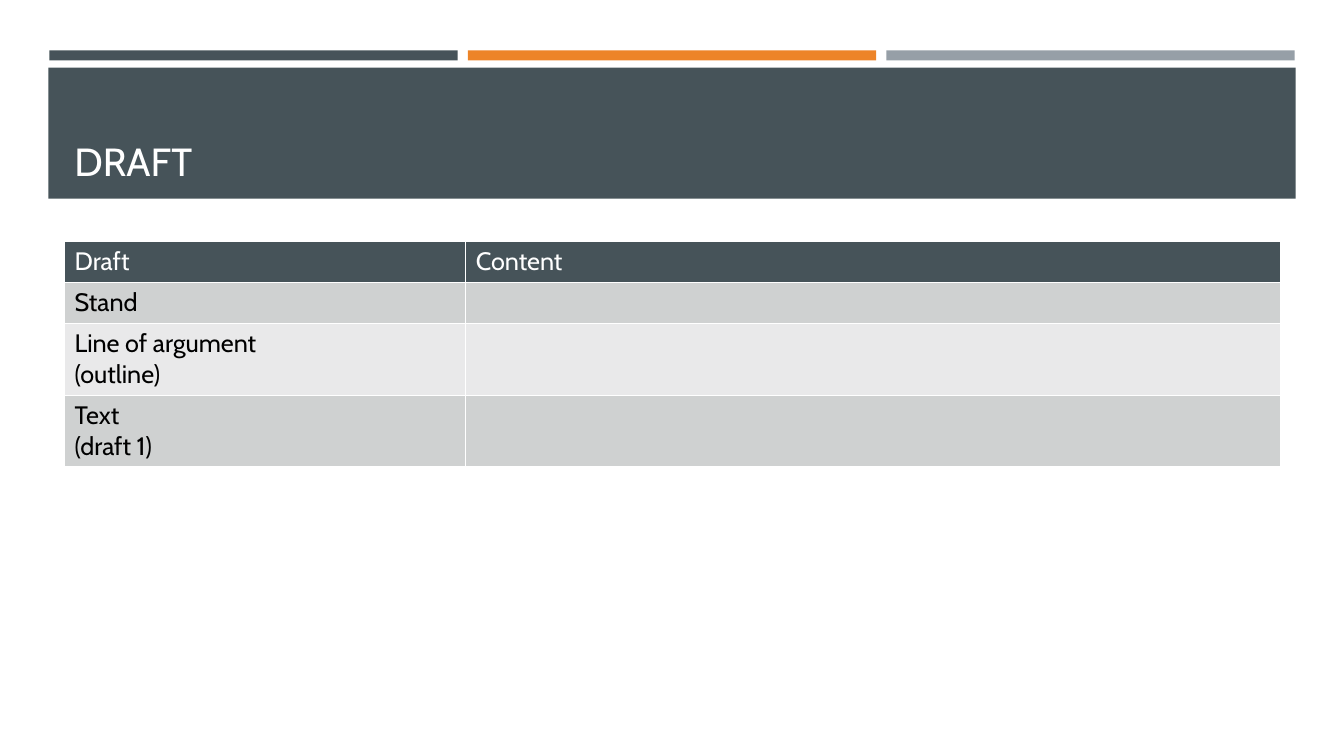
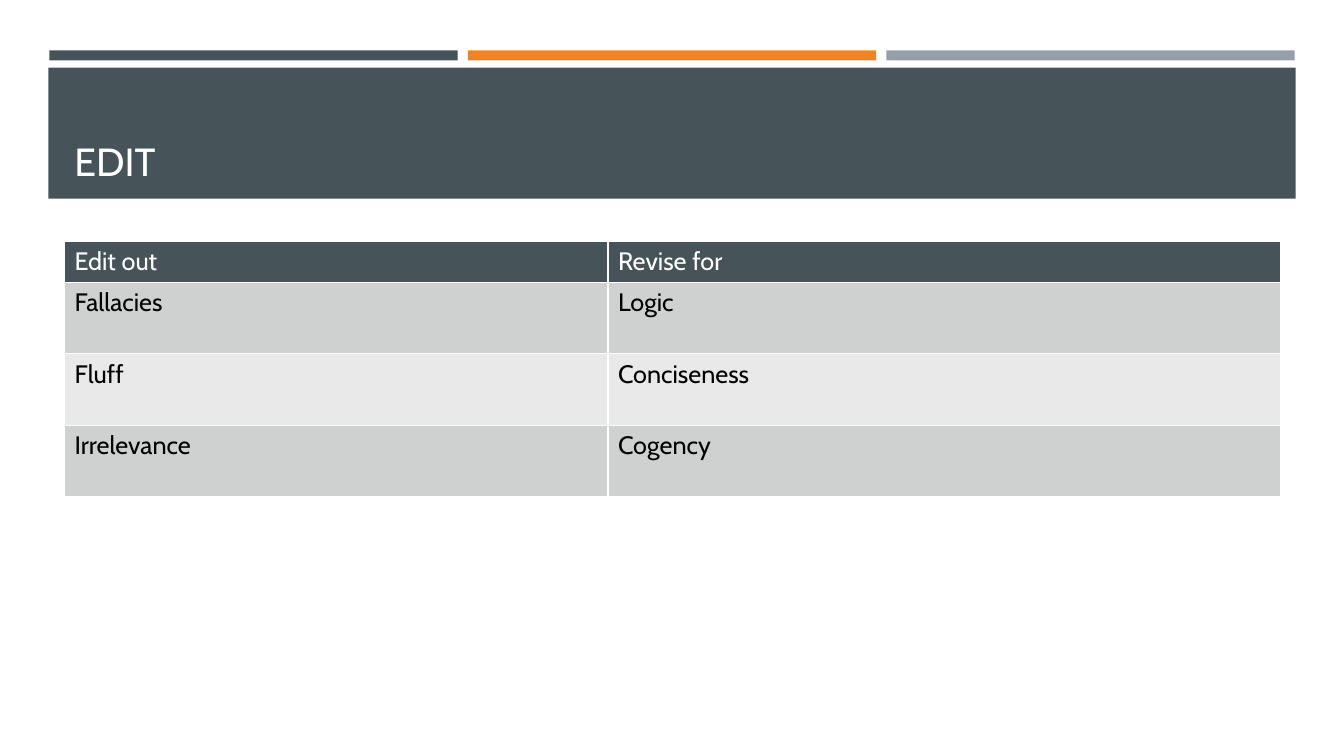
from pptx import Presentation
from pptx import util as u
from pptx.dml.color import RGBColor
from pptx.enum import shapes, text
from pptx.oxml import parse_xml
from pptx.oxml.ns import nsdecls

FONT = "Cabin"
COLORS = {
    "slate": "465359", "orange": "ED8428", "gray": "969FA7",
    "dark": "CFD1D1", "light": "E9E9EA",
    "white": "FFFFFF", "black": "000000",
}
LEFT, WIDTH = 0.64, 12.06
ONE, TWO = 0.41, 0.71  # heights of one-line and two-line rows


def rgb(name):
    return RGBColor.from_string(COLORS[name])


def style(para, size, color):
    para.font.name = FONT
    para.font.size = u.Pt(size)
    para.font.color.rgb = rgb(color)


def add_bar(slide, x, y, w, h, color):
    bar = slide.shapes.add_shape(
        shapes.MSO_SHAPE.RECTANGLE, *map(u.Inches, (x, y, w, h)))
    bar.shadow.inherit = False
    bar.fill.solid()
    bar.fill.fore_color.rgb = rgb(color)
    bar.line.fill.background()


def add_title(slide, title):
    box = slide.shapes.add_textbox(
        *map(u.Inches, (LEFT, 0.77, WIDTH, 1.11)))
    frame = box.text_frame
    frame.word_wrap = True
    frame.vertical_anchor = text.MSO_ANCHOR.BOTTOM
    frame.text = title
    style(frame.paragraphs[0], 28, "white")


def add_frame(slide, title):
    # Three strips above the title band
    for i, color in enumerate(("slate", "orange", "gray")):
        add_bar(slide, 0.49 + 4.15 * i, 0.5, 4.05, 0.1, color)
    add_bar(slide, 0.48, 0.67, 12.37, 1.3, "slate")
    add_title(slide, title)


def set_cell(cell, words, fill, color):
    cell.text = words
    for para in cell.text_frame.paragraphs:
        style(para, 18, color)
    # Borders come before the fill in the cell properties
    props = cell._tc.get_or_add_tcPr()
    for side in ("lnL", "lnR", "lnT", "lnB"):
        props.append(parse_xml(
            f'<a:{side} {nsdecls("a")} w="12700"><a:solidFill>'
            f'<a:srgbClr val="{COLORS["white"]}"/></a:solidFill></a:{side}>'))
    cell.fill.solid()
    cell.fill.fore_color.rgb = rgb(fill)


def add_grid(slide, first, heights, rows):
    widths = (first, WIDTH - first)
    table = slide.shapes.add_table(
        len(rows), len(widths),
        *map(u.Inches, (LEFT, 2.39, WIDTH, sum(heights)))).table
    for col, width in zip(table.columns, widths):
        col.width = u.Inches(width)
    for r, (height, row) in enumerate(zip(heights, rows)):
        table.rows[r].height = u.Inches(height)
        if r == 0:
            fill, color = "slate", "white"
        else:
            fill, color = ("dark" if r % 2 else "light"), "black"
        for c, words in enumerate(row):
            set_cell(table.cell(r, c), words, fill, color)


SLIDES = [
    ("DRAFT", 3.98, (ONE, ONE, TWO, TWO), [
        ("Draft", "Content"),
        ("Stand", ""),
        ("Line of argument\n(outline)", ""),
        ("Text\n(draft 1)", ""),
    ]),
    ("EDIT", 5.39, (ONE, TWO, TWO, TWO), [
        ("Edit out", "Revise for"),
        ("Fallacies", "Logic"),
        ("Fluff", "Conciseness"),
        ("Irrelevance", "Cogency"),
    ]),
]


def main():
    deck = Presentation()
    deck.slide_width, deck.slide_height = u.Inches(13.33), u.Inches(7.5)
    for title, first, heights, rows in SLIDES:
        slide = deck.slides.add_slide(deck.slide_layouts[6])
        add_frame(slide, title)
        add_grid(slide, first, heights, rows)
    deck.save("out.pptx")


if __name__ == "__main__":
    main()
